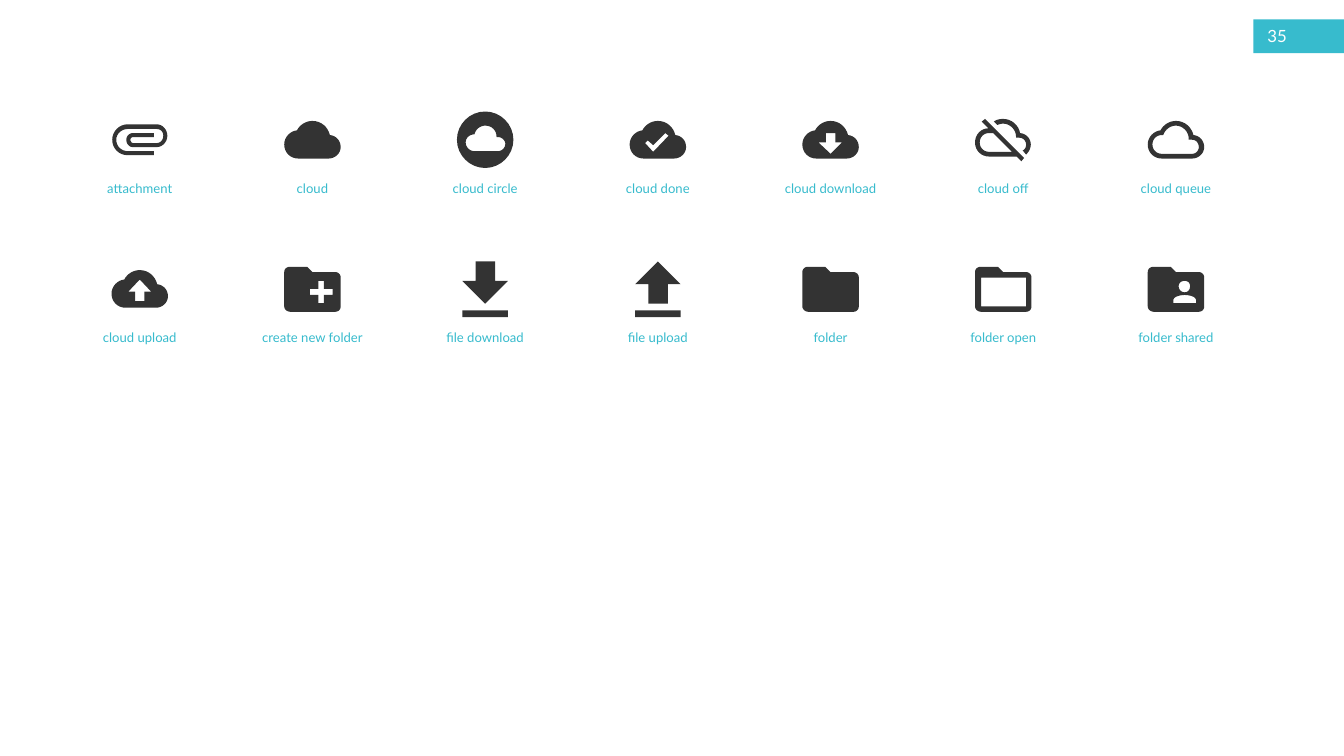
from pptx import Presentation
from pptx import util as u
from pptx.dml.color import RGBColor
from pptx.enum import shapes, text

TEAL = RGBColor(0x37, 0xBB, 0xCD)
DARK = RGBColor(0x33, 0x33, 0x33)
WHITE = RGBColor(0xFF, 0xFF, 0xFF)
FONT = "Lato"

WIDE, HIGH = 20, 11.25
COLS, COL, ROW = 7, 2.57, 2.22
LEFT, TOP = 0.795, 1.66
ICON = 0.84
UNIT = u.Inches(0.01)
STEPS = 8

CLOUD = ("M 26 -7 C 23 -19 13 -28 0 -28 C -10 -28 -19 -22 -23 -14 "
         "C -33 -13 -42 -4 -42 7 C -42 19 -33 28 -21 28 L 24 28 "
         "C 34 28 42 20 42 11 C 42 1 35 -6 26 -7 ")
FOLDER = ("M -8 -33 L -33 -33 C -38 -33 -42 -30 -42 -25 L -42 26 "
          "C -42 30 -38 34 -33 34 L 34 34 C 39 34 42 30 42 26 "
          "L 42 -17 C 42 -21 39 -25 34 -25 L 0 -25 ")
BAR = "M -34 32 L -34 42 L 34 42 L 34 32 "
CLIP = ("M -18 23 C -31 23 -41 13 -41 0 C -41 -12 -31 -23 -18 -23 L 25 -23 "
        "C 34 -23 41 -15 41 -6 C 41 3 34 11 25 11 L -10 11 "
        "C -16 11 -20 6 -20 0 C -20 -5 -16 -10 -10 -10 L 21 -10 L 21 -4 "
        "L -10 -4 C -12 -4 -14 -2 -14 0 C -14 2 -12 5 -10 5 L 25 5 "
        "C 31 5 35 0 35 -6 C 35 -12 31 -16 25 -16 L -18 -16 "
        "C -27 -16 -35 -9 -35 0 C -35 10 -27 17 -18 17 L 21 17 L 21 23")
DISC = ("M 0 -42 C -23 -42 -42 -23 -42 0 C -42 23 -23 42 0 42 "
        "C 23 42 42 23 42 0 C 42 -23 23 -42 0 -42 "
        "M 19 17 L -16 17 C -23 17 -29 11 -29 4 C -29 -3 -23 -8 -16 -8 "
        "C -14 -16 -7 -21 0 -21 C 10 -21 17 -14 17 -4 L 19 -4 "
        "C 25 -4 30 1 30 6 C 30 12 25 17 19 17")
OFF = ("M 25 -10 C 23 -22 12 -31 0 -31 C -5 -31 -10 -30 -14 -27 L -9 -22 "
       "C -6 -23 -3 -24 0 -24 C 10 -24 19 -15 19 -5 L 19 -3 L 24 -3 "
       "C 30 -3 34 2 34 7 C 34 11 32 15 29 16 L 34 22 "
       "C 38 18 41 13 41 7 C 41 -2 34 -9 25 -10 "
       "M -32 -27 L -22 -17 C -33 -17 -42 -8 -42 4 C -42 16 -33 25 -21 25 "
       "L 20 25 L 27 32 L 31 27 L -27 -31 "
       "M -15 -10 L 13 18 L -21 18 C -29 18 -35 12 -35 4 "
       "C -35 -4 -29 -10 -21 -10")
HOLLOW = ("M 24 21 L -21 21 C -29 21 -35 15 -35 7 C -35 -1 -29 -7 -21 -7 "
          "L -19 -7 C -16 -15 -9 -21 0 -21 C 10 -21 19 -12 19 -2 L 19 0 "
          "L 24 0 C 30 0 34 5 34 11 C 34 16 30 21 24 21")
CHECK = "M -7 18 L -19 5 L -15 1 L -7 8 L 11 -10 L 16 -6"
DOWN = "M 17 4 L 0 21 L -18 4 L -7 4 L -7 -10 L 7 -10 L 7 4"
UP = "M 7 4 L 7 18 L -7 18 L -7 4 L -17 4 L 0 -14 L 17 4"
PLUS = ("M 30 9 L 17 9 L 17 21 L 9 21 L 9 9 L -4 9 L -4 0 L 9 0 "
        "L 9 -12 L 17 -12 L 17 0 L 30 0")
PANE = "M 34 26 L -33 26 L -33 -17 L 34 -17"
USER = ("M 13 -12 C 18 -12 21 -9 21 -4 C 21 1 18 5 13 5 "
        "C 8 5 4 1 4 -4 C 4 -9 8 -12 13 -12 "
        "M 30 21 L -4 21 L -4 17 C -4 11 7 9 13 9 C 19 9 30 11 30 17")
LOAD = "M 34 -12 L 15 -12 L 15 -41 L -14 -41 L -14 -12 L -34 -12 L 0 22 "
SEND = "M -14 22 L 15 22 L 15 -7 L 34 -7 L 0 -41 L -34 -7 L -14 -7 "

ICONS = [
    ("attachment", CLIP),
    ("cloud", CLOUD),
    ("cloud circle", DISC),
    ("cloud done", CLOUD + CHECK),
    ("cloud download", CLOUD + DOWN),
    ("cloud off", OFF),
    ("cloud queue", CLOUD + HOLLOW),
    ("cloud upload", CLOUD + UP),
    ("create new folder", FOLDER + PLUS),
    ("file download", LOAD + BAR),
    ("file upload", SEND + BAR),
    ("folder", FOLDER),
    ("folder open", FOLDER + PANE),
    ("folder shared", FOLDER + USER),
]


def curve(a, b, c, d):
    for step in range(1, STEPS + 1):
        t = step / STEPS
        s = 1 - t
        yield tuple(s**3 * p + 3 * s * s * t * q + 3 * s * t * t * r + t**3 * e
                    for p, q, r, e in zip(a, b, c, d))


def trace(line):
    words = iter(line.split())

    def point():
        return int(next(words)) * UNIT, int(next(words)) * UNIT

    rings = []
    for mark in words:
        if mark == "M":
            rings.append([point()])
        elif mark == "L":
            rings[-1].append(point())
        else:
            rings[-1].extend(curve(rings[-1][-1], point(), point(), point()))
    return rings


def paint(shape, color):
    shape.shadow.inherit = False
    shape.fill.solid()
    shape.fill.fore_color.rgb = color
    shape.line.fill.background()


def write(slide, box, words, size, color):
    frame = slide.shapes.add_textbox(*map(u.Inches, box)).text_frame
    frame.word_wrap = True
    line = frame.paragraphs[0]
    line.text = words
    line.font.name, line.font.size = FONT, u.Pt(size)
    line.font.color.rgb = color
    return frame


def draw_icon(slide, x, y, outline):
    first, *rest = trace(outline)
    pen = slide.shapes.build_freeform(*first[0])
    pen.add_line_segments(first[1:], close=True)
    for ring in rest:
        pen.move_to(*ring[0])
        pen.add_line_segments(ring[1:], close=True)
    paint(pen.convert_to_shape(u.Inches(x), u.Inches(y)), DARK)


def add_cell(slide, box, name, outline):
    left, top, wide = box
    draw_icon(slide, left + wide / 2, top + ICON / 2, outline)
    span = wide * 1.08
    frame = write(slide, (left + (wide - span) / 2, top + 0.98, span, 0.34),
                  name, 14, TEAL)
    frame.auto_size = text.MSO_AUTO_SIZE.SHAPE_TO_FIT_TEXT
    frame.paragraphs[0].alignment = text.PP_ALIGN.CENTER


def add_grid(slide, left, top):
    for spot, (name, outline) in enumerate(ICONS):
        row, col = divmod(spot, COLS)
        add_cell(slide, (left + col * COL, top + row * ROW, COL), name, outline)


def add_page(slide, box, number):
    left, top, wide, high = box
    tab = slide.shapes.add_shape(shapes.MSO_SHAPE.RECTANGLE, *map(u.Inches, box))
    paint(tab, TEAL)
    frame = write(slide, (left + 0.11, top, wide / 2, high), number, 18, WHITE)
    frame.vertical_anchor = text.MSO_ANCHOR.MIDDLE


def main():
    deck = Presentation()
    deck.slide_width, deck.slide_height = u.Inches(WIDE), u.Inches(HIGH)
    slide = deck.slides.add_slide(deck.slide_layouts[6])
    add_grid(slide, LEFT, TOP)
    add_page(slide, (WIDE - 1.35, 0.29, 1.35, 0.5), "35")
    deck.save("out.pptx")


if __name__ == "__main__":
    main()
